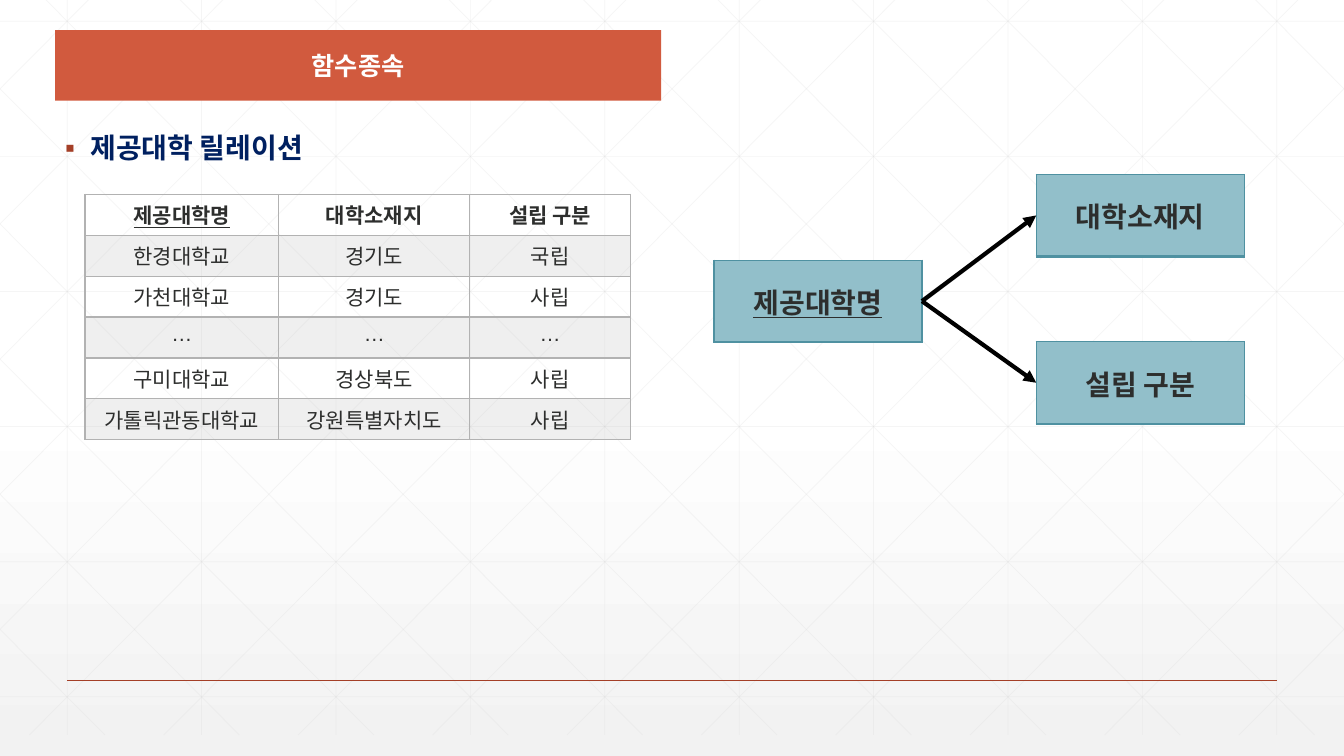
"""Build the functional dependency slide: relation table and dependency diagram."""
import pptx
import pptx.dml.color
import pptx.enum.dml
import pptx.enum.shapes
import pptx.enum.text
import pptx.oxml
import pptx.oxml.ns
import pptx.util
from lxml import etree

Pt = pptx.util.Pt
RGBColor = pptx.dml.color.RGBColor
ANCHOR = pptx.enum.text.MSO_ANCHOR
ALIGN = pptx.enum.text.PP_ALIGN
qn = pptx.oxml.ns.qn

TITLE = "함수종속"
HEADING = "제공대학 릴레이션"
RELATION = [
    ("제공대학명", "대학소재지", "설립 구분"),
    ("한경대학교", "경기도", "국립"),
    ("가천대학교", "경기도", "사립"),
    ("…", "…", "…"),
    ("구미대학교", "경상북도", "사립"),
    ("가톨릭관동대학교", "강원특별자치도", "사립"),
]
KEY = RELATION[0][0]
KEY_PLACE = (510, 185.8)
DEPENDENTS = [("대학소재지", (740.2, 124.6)), ("설립 구분", (740.2, 244.1))]

WHITE = RGBColor(0xFF, 0xFF, 0xFF)
PALE = RGBColor(0xF2, 0xF2, 0xF2)
GRID = RGBColor(0xD9, 0xD9, 0xD9)
GRAY = RGBColor(0xB2, 0xB2, 0xB2)
INK = RGBColor(0x2D, 0x2E, 0x2D)
BLACK = RGBColor(0, 0, 0)
NAVY = RGBColor(0x00, 0x20, 0x60)
ORANGE = RGBColor(0xD1, 0x5A, 0x3E)
RUST = RGBColor(0xA4, 0x3F, 0x27)
TEAL = RGBColor(0x4F, 0x91, 0xA1)
SKY = RGBColor(0x92, 0xBF, 0xCA)

KOREAN = "Noto Sans CJK KR"
WIDTH, HEIGHT = 960, 540
GRID_TOP, GRID_BOTTOM, GRID_STEP = -15, 525, 96
DIAGONAL_RUN = 537
COLUMNS, ROW_HEIGHT = (138.5, 136.3, 115), 29.2
BOX_WIDTH, BOX_HEIGHT = 148.6, 58.6


def add_child(parent, tag, **attributes):
    return etree.SubElement(parent, qn(tag), attributes)


def draw_line(page, start, end, color, weight):
    line = page.shapes.add_connector(
        pptx.enum.shapes.MSO_CONNECTOR.STRAIGHT, *map(Pt, start + end))
    line.line.color.rgb = color
    line.line.width = Pt(weight)
    add_child(line.element.spPr, "a:effectLst")
    return line


def set_alpha(owner, percent):
    for color in owner.iter(qn("a:srgbClr")):
        add_child(color, "a:alpha", val=str(percent * 1000))


def draw_background(page):
    fill = page.background.fill
    fill.gradient()
    fill.gradient_angle = 270
    for stop, position, color in zip(fill.gradient_stops, (0.53, 1), (WHITE, PALE)):
        stop.position = position
        stop.color.rgb = color

    lines = [((48 + GRID_STEP * i, GRID_TOP), (48 + GRID_STEP * i, GRID_BOTTOM))
             for i in range(10)]
    lines += [((0, 15.2 + 96.5 * i), (WIDTH, 15.2 + 96.5 * i)) for i in range(6)]
    slope = (GRID_BOTTOM - GRID_TOP) / DIAGONAL_RUN
    for i in range(-5, 10):
        left = 18 + GRID_STEP * i
        ends = [(x, GRID_TOP + (x - left) * slope)
                for x in (max(left, 0), min(left + DIAGONAL_RUN, WIDTH))]
        lines += [tuple(ends), tuple((WIDTH - x, y) for x, y in ends)]
    for start, end in lines:
        set_alpha(draw_line(page, start, end, GRID, 0.5).element, 25)
    draw_line(page, (48, 486), (912, 486), RUST, 1)


def style_text(para, size, color, bold, latin=KOREAN, underline=False):
    for span in para.runs:
        font = span.font
        font.size, font.bold, font.underline = Pt(size), bold, underline
        font.color.rgb = color
        font.name = latin
        add_child(font._element, "a:ea", typeface=KOREAN)


def place(holder, left, top, width, height, text):
    holder.left, holder.top, holder.width, holder.height = map(
        Pt, (left, top, width, height))
    holder.element.getparent().append(holder.element)
    frame = holder.text_frame
    frame.text = text
    frame.word_wrap = True
    frame.auto_size = pptx.enum.text.MSO_AUTO_SIZE.NONE
    frame.vertical_anchor = ANCHOR.MIDDLE
    return frame.paragraphs[0]


def add_grid(page, rows, place, columns, row_height):
    frame = page.shapes.add_table(
        len(rows), len(columns), *map(Pt, place + (sum(columns), row_height * len(rows))))
    table = frame.table
    table.first_row = table.horz_banding = False
    for column, width in zip(table.columns, columns):
        column.width = Pt(width)
    for row, texts in zip(table.rows, rows):
        row.height = Pt(row_height)
        for cell, text in zip(row.cells, texts):
            cell.text = text
            cell.text_frame.paragraphs[0].alignment = ALIGN.CENTER
    return table


def set_borders(cell, color, bottom=1):
    properties = cell._tc.get_or_add_tcPr()
    for side, weight in zip("LRTB", (1, 1, 1, bottom)):
        line = add_child(properties, f"a:ln{side}", w=str(Pt(weight)))
        add_child(add_child(line, "a:solidFill"), "a:srgbClr", val=str(color))


def add_relation(page):
    table = add_grid(page, RELATION, (60.7, 138.9), COLUMNS, ROW_HEIGHT)
    for i, row in enumerate(table.rows):
        for cell in row.cells:
            set_borders(cell, GRAY)
            if i % 2:
                cell.fill.solid()
                cell.fill.fore_color.rgb = GRAY
                set_alpha(cell._tc.tcPr.find(qn("a:solidFill")), 20)
            else:
                cell.fill.background()
            style_text(cell.text_frame.paragraphs[0], 15, INK, i == 0, "Arial",
                       cell.text == KEY)


def add_attribute(page, text, place):
    cell = add_grid(page, [(text,)], place, (BOX_WIDTH,), BOX_HEIGHT).cell(0, 0)
    set_borders(cell, TEAL, 2)
    cell.fill.solid()
    cell.fill.fore_color.rgb = SKY
    cell.vertical_anchor = ANCHOR.MIDDLE
    style_text(cell.text_frame.paragraphs[0], 20, INK, True, "Arial", text == KEY)


def add_dependencies(page):
    add_attribute(page, KEY, KEY_PLACE)
    start = (KEY_PLACE[0] + BOX_WIDTH, KEY_PLACE[1] + BOX_HEIGHT / 2)
    for text, (left, top) in DEPENDENTS:
        add_attribute(page, text, (left, top))
        arrow = draw_line(page, start, (left, top + BOX_HEIGHT / 2), BLACK, 3)
        add_child(arrow.line._get_or_add_ln(), "a:tailEnd", type="triangle")


def main():
    deck = pptx.Presentation()
    deck.slide_width, deck.slide_height = Pt(WIDTH), Pt(HEIGHT)
    page = deck.slides.add_slide(deck.slide_layouts[1])
    draw_background(page)

    title = page.shapes.title
    para = place(title, 39.4, 21.5, 432.8, 50.4, TITLE)
    title.fill.solid()
    title.fill.fore_color.rgb = ORANGE
    para.alignment = ALIGN.CENTER
    style_text(para, 18, WHITE, True)

    para = place(page.placeholders[1], 39.4, 92.2, 870.5, 29.5, HEADING)
    properties = para._p.get_or_add_pPr()
    properties.set("marL", str(Pt(18)))
    properties.set("indent", str(Pt(-18)))
    add_child(add_child(properties, "a:buClr"), "a:srgbClr", val=str(RUST))
    add_child(properties, "a:buFont", typeface="Arial")
    add_child(properties, "a:buChar", char="▪")
    para.line_spacing = 0.9
    para.space_before = Pt(0)
    style_text(para, 20, NAVY, True)

    add_relation(page)
    add_dependencies(page)
    deck.save("out.pptx")


if __name__ == "__main__":
    main()
